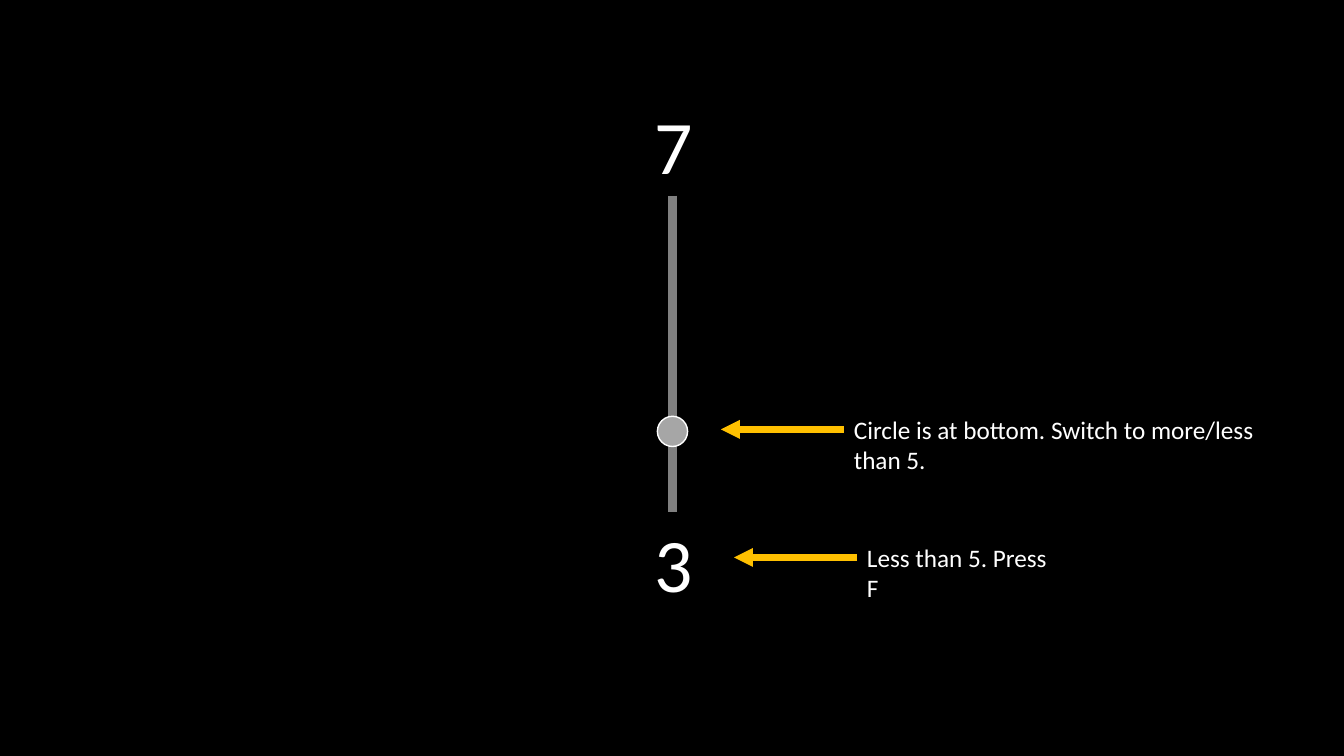
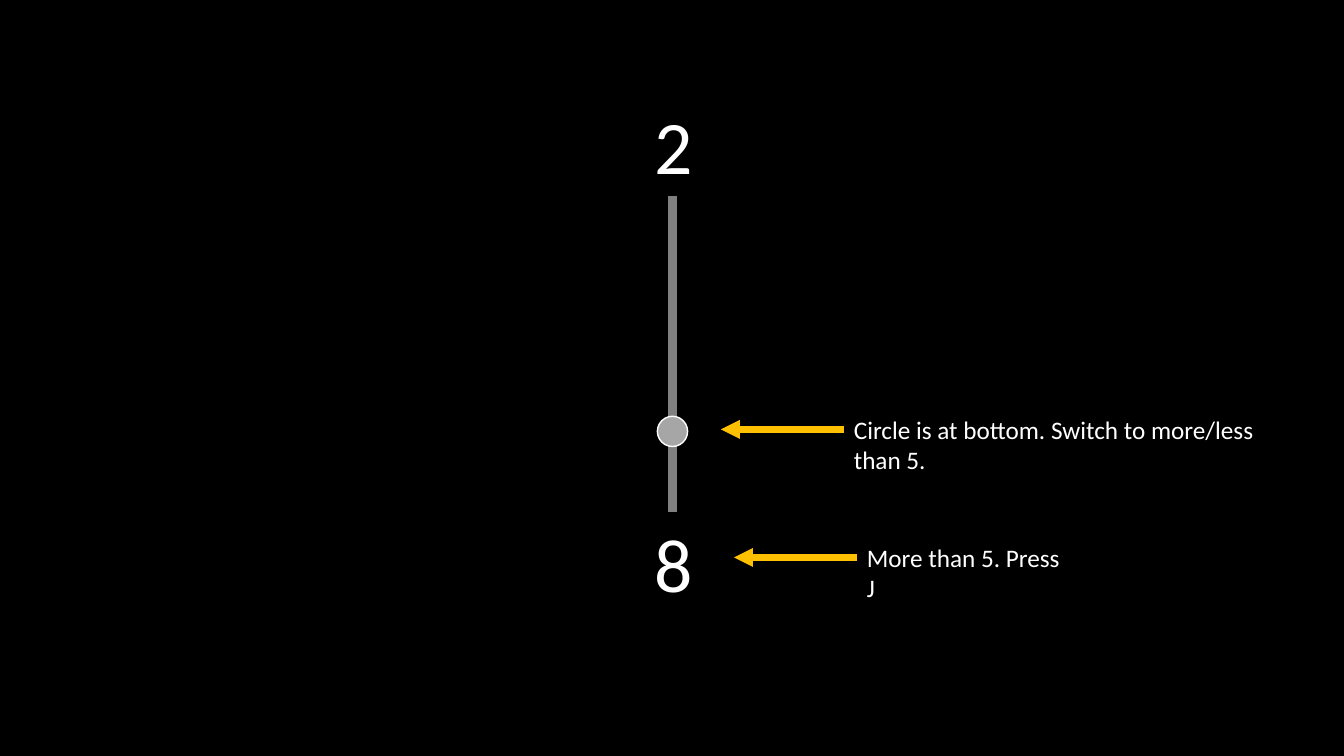
from dataclasses import dataclass
from pptx import Presentation
from pptx.dml.color import RGBColor
from pptx.enum import shapes, text
from pptx.oxml.ns import qn
from pptx.util import Inches, Pt
from lxml import etree


@dataclass(frozen=True)
class Theme:
    back: str = "000000"
    ink: str = "FFFFFF"
    bar: str = "808080"
    dot: str = "A6A6A6"
    arrow: str = "FFC000"
    font: str = "Calibri"
    digit: float = 54
    note: float = 18


theme = Theme()
rgb = RGBColor.from_string


def write(slide, words, at, size=theme.note, wrap=True):
    box = slide.shapes.add_textbox(*map(Inches, at))
    frame = box.text_frame
    frame.word_wrap = wrap
    frame.auto_size = text.MSO_AUTO_SIZE.SHAPE_TO_FIT_TEXT
    run = frame.paragraphs[0].add_run()
    run.text = words
    run.font.name, run.font.size = theme.font, Pt(size)
    run.font.color.rgb = rgb(theme.ink)


def draw(slide, start, end, color, width, head=False):
    line = slide.shapes.add_connector(
        shapes.MSO_CONNECTOR.STRAIGHT, *map(Inches, start + end))
    line.line.color.rgb = rgb(color)
    line.line.width = Pt(width)
    if head:
        tip = etree.SubElement(line.line._get_or_add_ln(), qn("a:tailEnd"))
        tip.set("type", "triangle")
    etree.SubElement(line._element.spPr, qn("a:effectLst"))


# Deck and shared black background
deck = Presentation()
deck.slide_width, deck.slide_height = Inches(13.33), Inches(7.5)
fill = deck.slide_master.background.fill
fill.solid()
fill.fore_color.rgb = rgb(theme.back)

# Each trial: top digit, bottom digit, answer and its box width
trials = [
    ("7", "3", "Less than 5. Press F", 2.02),
    ("2", "8", "More than 5. Press J", 2.13),
]
cue = "Circle is at bottom. Switch to more/less than 5."
mid, top, low = 6.67, 1.94, 5.08
size = 0.3

for upper, lower, answer, wide in trials:
    slide = deck.slides.add_slide(deck.slide_layouts[6])

    # Digits at both ends of the bar
    for digit, y in ((upper, 0.93), (lower, low)):
        write(slide, digit, (6.39, y, 0.54, 1.01), theme.digit, wrap=False)
    draw(slide, (mid, top), (mid, low), theme.bar, 6)

    # Circle on the bar
    dot = slide.shapes.add_shape(
        shapes.MSO_SHAPE.OVAL,
        *map(Inches, (mid - size / 2, 4.13, size, size)))
    dot.shadow.inherit = False
    dot.fill.solid()
    dot.fill.fore_color.rgb = rgb(theme.dot)
    dot.line.color.rgb = rgb(theme.ink)
    dot.line.width = Pt(1)

    # Notes with arrows pointing left
    for words, x, y, span in ((answer, 8.5, 5.53, wide), (cue, 8.37, 4.26, 4.58)):
        draw(slide, (x, y), (x - 1.22, y), theme.arrow, 4.5, head=True)
        write(slide, words, (x, y - 0.2, span, 0.4))

deck.save("out.pptx")
